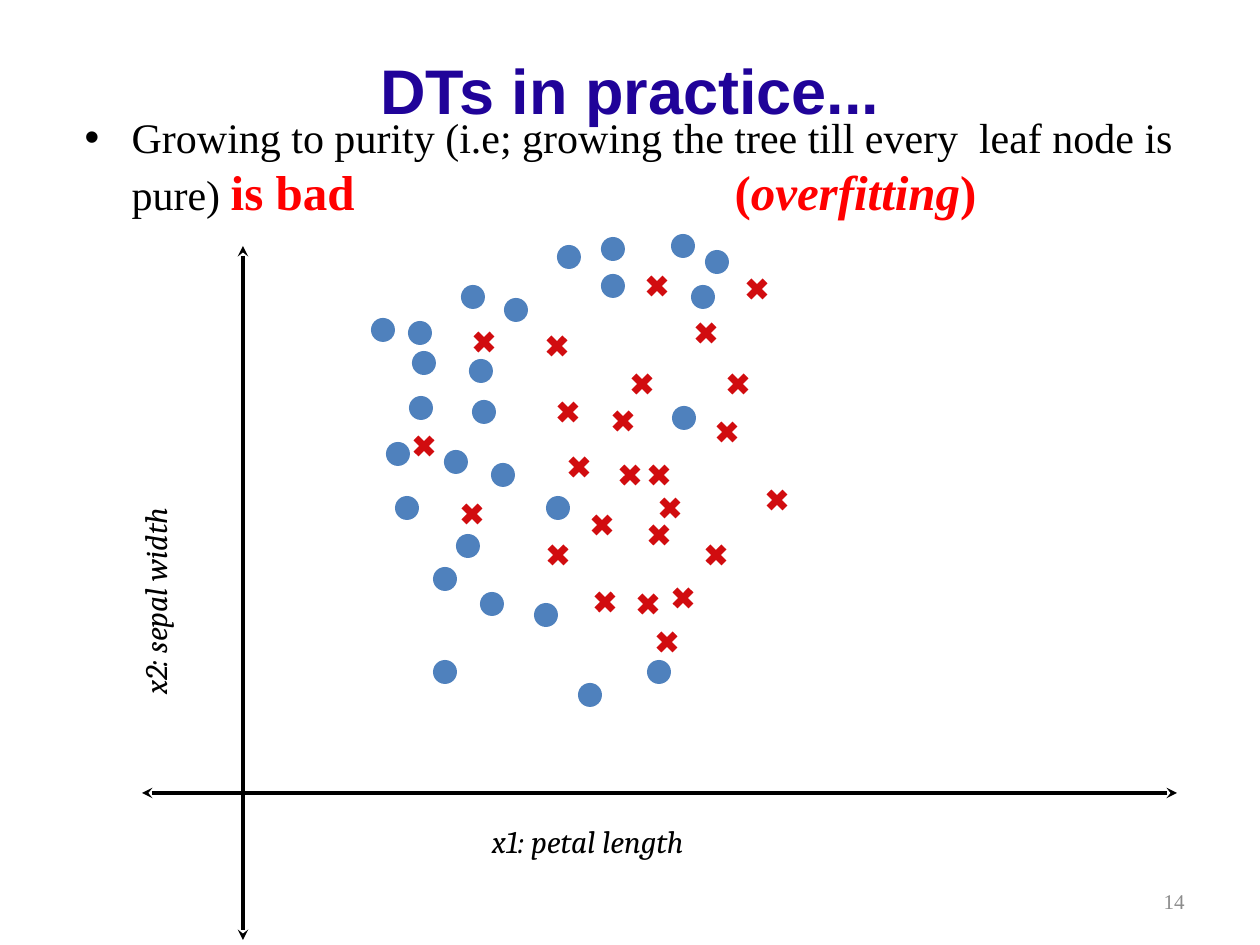
from dataclasses import dataclass

from lxml import etree
from pptx import Presentation
from pptx import util as u
from pptx.dml.color import RGBColor
from pptx.enum import shapes, text
from pptx.oxml.ns import qn

PX = 914400 / 126


def px(length):
    return u.Emu(round(length * PX))


@dataclass(frozen=True)
class Theme:
    title: str = "200399"
    ink: str = "000000"
    alert: str = "FF0000"
    dot: str = "4F81BD"
    cross: str = "D10C0F"
    muted: str = "8C8C8C"
    title_size: int = 36
    strong_size: int = 28
    body_size: int = 24
    label_size: int = 18
    number_size: int = 12
    heading_face: str = "Arial"
    body_face: str = "Times New Roman"
    label_face: str = "Cambria"


def style(font, face, size, color, bold=False, italic=False):
    font.name, font.size = face, u.Pt(size)
    font.bold, font.italic = bold, italic
    font.color.rgb = RGBColor.from_string(color)


class Page:
    """Draws styled elements on one slide, with lengths in px."""

    def __init__(self, slide, theme):
        self.slide, self.theme = slide, theme

    def place(self, box, left, top, width, height):
        box.left, box.top = px(left), px(top)
        box.width, box.height = px(width), px(height)

    def title(self, words, *area):
        box = self.slide.shapes.title
        self.place(box, *area)
        frame = box.text_frame
        frame.text = words
        frame.vertical_anchor = text.MSO_ANCHOR.MIDDLE
        para = frame.paragraphs[0]
        para.alignment = text.PP_ALIGN.CENTER
        style(para.font, self.theme.heading_face, self.theme.title_size,
              self.theme.title, bold=True)

    def bullet(self, spans, tab, *area):
        """Fill the body with one bullet of (words, size, color, bold, italic) spans."""
        box = self.slide.placeholders[1]
        self.place(box, *area)
        box.text_frame.auto_size = text.MSO_AUTO_SIZE.NONE
        para = box.text_frame.paragraphs[0]
        para.space_before = u.Pt(0)
        for words, *look in spans:
            span = para.add_run()
            span.text = words
            style(span.font, self.theme.body_face, *look)
        props = para._p.get_or_add_pPr()
        props.set("marL", str(px(87)))
        props.set("indent", str(-px(47)))
        etree.SubElement(props, qn("a:buFont"), typeface="Arial")
        etree.SubElement(props, qn("a:buChar"), char="•")
        stops = etree.SubElement(props, qn("a:tabLst"))
        etree.SubElement(stops, qn("a:tab"), pos=str(px(tab)), algn="l")

    def text_box(self, words, *area):
        box = self.slide.shapes.add_textbox(*map(px, area))
        frame = box.text_frame
        frame.word_wrap = True
        frame.text = words
        return box, frame, frame.paragraphs[0]

    def axis_label(self, words, *area, rotation=0):
        box, frame, para = self.text_box(words, *area)
        frame.margin_left = frame.margin_right = 0
        frame.margin_top = frame.margin_bottom = 0
        box.rotation = rotation
        style(para.font, self.theme.label_face, self.theme.label_size,
              self.theme.ink, italic=True)

    def page_number(self, words, *area):
        _, frame, para = self.text_box(words, *area)
        frame.vertical_anchor = text.MSO_ANCHOR.MIDDLE
        para.alignment = text.PP_ALIGN.RIGHT
        style(para.font, self.theme.body_face, self.theme.number_size,
              self.theme.muted)

    def line(self, parent, ends, color, weight):
        line = parent.add_connector(shapes.MSO_CONNECTOR.STRAIGHT, *map(px, ends))
        line.line.color.rgb = RGBColor.from_string(color)
        line.line.width = u.Pt(weight)
        etree.SubElement(line._element.spPr, qn("a:effectLst"))
        return line

    def axis(self, *ends):
        line = self.line(self.slide.shapes, ends, self.theme.ink, 2)
        outline = line.line._get_or_add_ln()
        for tag in ("a:headEnd", "a:tailEnd"):
            etree.SubElement(outline, qn(tag), type="stealth")

    def dot(self, x, y, radius=12):
        area = (x - radius, y - radius, 2 * radius, 2 * radius)
        dot = self.slide.shapes.add_shape(shapes.MSO_SHAPE.OVAL, *map(px, area))
        dot.shadow.inherit = False
        dot.fill.solid()
        dot.fill.fore_color.rgb = RGBColor.from_string(self.theme.dot)
        dot.line.fill.background()

    def cross(self, x, y, arm=8):
        group = self.slide.shapes.add_group_shape()
        for rise in (arm, -arm):
            ends = (x - arm, y - rise, x + arm, y + rise)
            self.line(group.shapes, ends, self.theme.cross, 4)


DOTS = [
    (590, 695), (659, 672), (492, 604), (468, 546), (445, 672), (546, 615),
    (407, 508), (456, 462), (503, 475), (421, 408), (481, 371), (516, 310),
    (420, 333), (569, 257), (613, 286), (683, 246), (558, 508), (424, 363),
    (484, 412), (473, 297), (445, 579), (398, 454), (383, 330), (717, 262),
    (613, 249), (703, 297), (684, 418),
]
CROSSES = [
    (579, 467), (602, 525), (659, 535), (558, 555), (568, 412), (642, 384),
    (605, 602), (659, 475), (683, 598), (706, 333), (716, 555), (727, 432),
    (777, 500), (484, 342), (424, 446), (472, 514), (630, 475), (623, 421),
    (670, 508), (648, 604), (657, 286), (557, 346), (738, 384), (667, 642),
    (757, 289),
]


def main():
    deck = Presentation()
    deck.slide_width, deck.slide_height = px(1260), px(945)
    theme = Theme()
    page = Page(deck.slides.add_slide(deck.slide_layouts[1]), theme)

    page.title("DTs in practice...", 63, 10, 1134, 158)
    strong = (theme.strong_size, theme.alert, True)
    page.bullet([
        ("Growing to purity (i.e; growing the tree till every  leaf node is pure) ",
         theme.body_size, theme.ink),
        ("is bad\t(", *strong),
        ("overfitting", *strong, True),
        (")", *strong),
    ], 690, 32, 105, 1166, 717)

    page.axis(243, 246, 243, 940)
    page.axis(1177, 793, 142, 793)
    page.axis_label("x1: petal length", 492, 822, 199, 38)
    page.axis_label("x2: sepal width", 11, 498, 321, 72, rotation=270)

    for center in DOTS:
        page.dot(*center)
    for center in CROSSES:
        page.cross(*center)
    page.page_number("14", 903, 876, 294, 50)
    deck.save("out.pptx")


if __name__ == "__main__":
    main()
